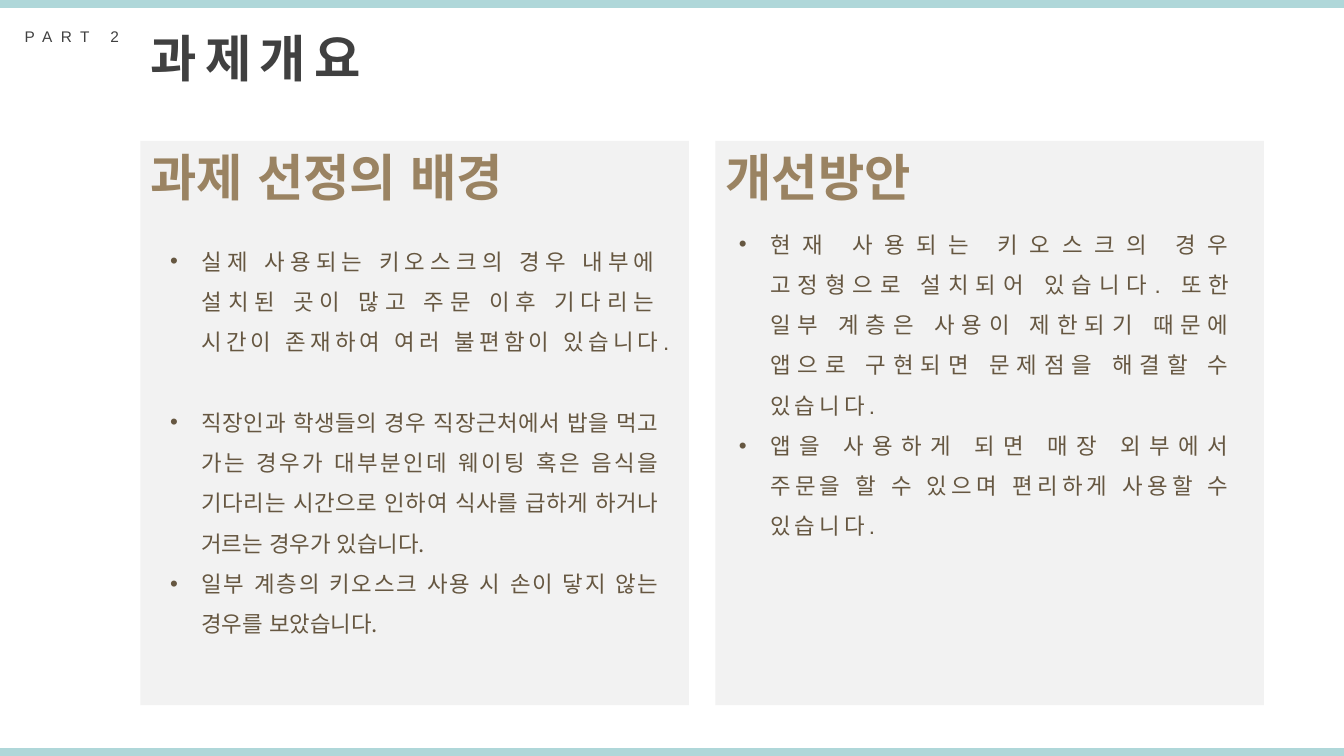
from lxml.etree import SubElement
from pptx import Presentation
from pptx.dml.color import RGBColor
from pptx.enum.shapes import MSO_SHAPE as Shape
from pptx.enum.text import MSO_AUTO_SIZE as Auto, PP_ALIGN as Align
from pptx.oxml.ns import qn
from pptx.util import Cm, Pt

TEAL = RGBColor(0xAF, 0xD7, 0xD9)
PALE = RGBColor(0xF2, 0xF2, 0xF2)
DARK = RGBColor(0x40, 0x40, 0x40)
GOLD = RGBColor(0x9A, 0x83, 0x62)
BROWN = RGBColor(0x66, 0x57, 0x41)
LATIN, HANGUL = "Arial", "Noto Sans CJK KR"

WIDE, HIGH = 33.87, 19.05
BAR = 0.2
PANEL_W, PANEL_H = 13.82, 14.22
PANEL_Y = 3.55
INDENT = 0.79

# Each point: text, Latin font, letter spacing in points
CAUSES = [
    ("실제 사용되는 키오스크의 경우 내부에 설치된 곳이 많고 주문 이후 기다리는 "
     "시간이 존재하여 여러 불편함이 있습니다. ", LATIN, 3),
    ("직장인과 학생들의 경우 직장근처에서 밥을 먹고 가는 경우가 대부분인데 웨이팅 혹은 "
     "음식을 기다리는 시간으로 인하여 식사를 급하게 하거나 거르는 경우가 있습니다.", HANGUL, 0),
    ("일부 계층의 키오스크 사용 시 손이 닿지 않는 경우를 보았습니다.", HANGUL, 0),
]
FIXES = [
    ("현재 사용되는 키오스크의 경우 고정형으로 설치되어 있습니다. 또한 일부 계층은 사용이 "
     "제한되기 때문에 앱으로 구현되면 문제점을 해결할 수 있습니다. ", LATIN, 3),
    ("앱을 사용하게 되면 매장 외부에서 주문을 할 수 있으며 편리하게 사용할 수 있습니다.",
     LATIN, 3),
]


def add_rect(slide, x, y, w, h, color):
    rect = slide.shapes.add_shape(Shape.RECTANGLE, Cm(x), Cm(y), Cm(w), Cm(h))
    rect.shadow.inherit = False
    rect.fill.solid()
    rect.fill.fore_color.rgb = color
    rect.line.fill.background()


def add_frame(slide, x, y, w, h, wrap=True):
    frame = slide.shapes.add_textbox(Cm(x), Cm(y), Cm(w), Cm(h)).text_frame
    frame.word_wrap = wrap
    frame.auto_size = Auto.SHAPE_TO_FIT_TEXT
    return frame


def add_run(para, text, size, color, bold=False, gap=0, face=LATIN):
    """Add a run whose letters stand gap points apart."""
    run = para.add_run()
    run.text = text
    font = run.font
    font.size, font.bold, font.name = Pt(size), bold, face
    font.color.rgb = color
    props = run._r.get_or_add_rPr()
    props.set("spc", str(gap * 100))
    SubElement(props, qn("a:ea")).set("typeface", LATIN)


def add_bullet(para):
    props = para._p.get_or_add_pPr()
    props.set("marL", str(Cm(INDENT)))
    props.set("indent", str(-Cm(INDENT)))
    SubElement(props, qn("a:buFont")).set("typeface", LATIN)
    SubElement(props, qn("a:buChar")).set("char", "•")


def add_header(slide, x, y):
    part = add_frame(slide, x, y, 3.18, 0.74, wrap=False)
    add_run(part.paragraphs[0], "PART 2", 11, DARK, gap=6)
    title = add_frame(slide, x + 3.17, y, 6.5, 1.8, wrap=False)
    add_run(title.paragraphs[0], "과제개요", 36, DARK, bold=True, gap=6)


def add_panel(slide, x, y, head, head_w, points, inset):
    """Draw a panel; inset is the place and size of its list."""
    add_rect(slide, x, y, PANEL_W, PANEL_H, PALE)
    frame = add_frame(slide, x, y, head_w, 1.8)
    add_run(frame.paragraphs[0], head, 36, GOLD, bold=True)

    dx, dy, w, h = inset
    frame = add_frame(slide, x + dx, y + dy, w, h)
    for i, (text, face, gap) in enumerate(points):
        para = frame.add_paragraph() if i else frame.paragraphs[0]
        para.alignment = Align.JUSTIFY
        para.line_spacing = 1.5
        add_bullet(para)
        add_run(para, text, 16, BROWN, gap=gap, face=face)


def main():
    deck = Presentation()
    deck.slide_width, deck.slide_height = Cm(WIDE), Cm(HIGH)
    slide = deck.slides.add_slide(deck.slide_layouts[6])
    for y in (0, HIGH - BAR):
        add_rect(slide, 0, y, WIDE, BAR, TEAL)
    add_header(slide, 0.37, 0.56)
    add_panel(slide, 3.54, PANEL_Y, "과제 선정의 배경", 10.19, CAUSES,
              (0.5, 2.23, 12.82, 10.52))
    add_panel(slide, 18.03, PANEL_Y, "개선방안", 5.87, FIXES,
              (0.34, 1.8, 12.96, 8.46))
    deck.save("out.pptx")


if __name__ == "__main__":
    main()
